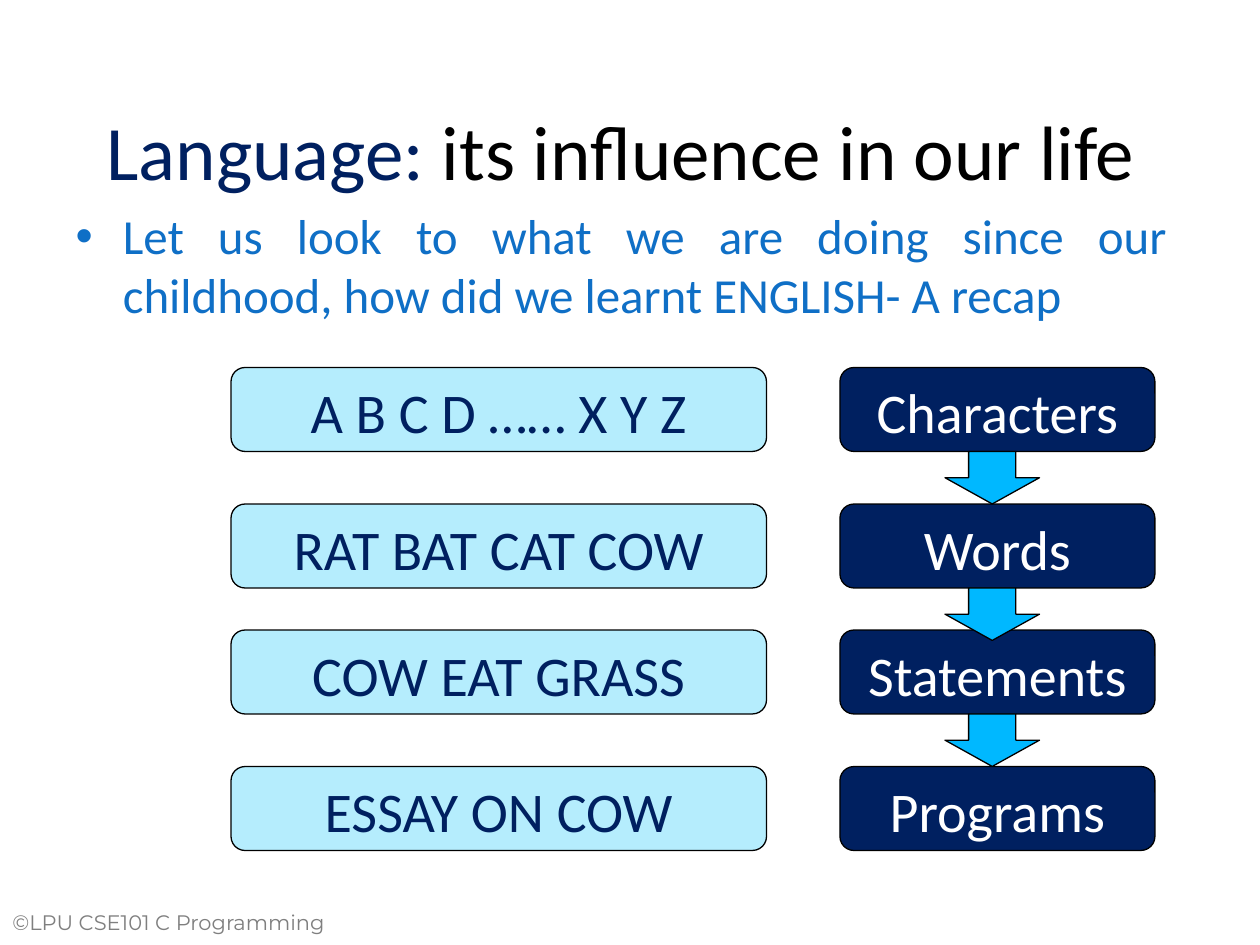
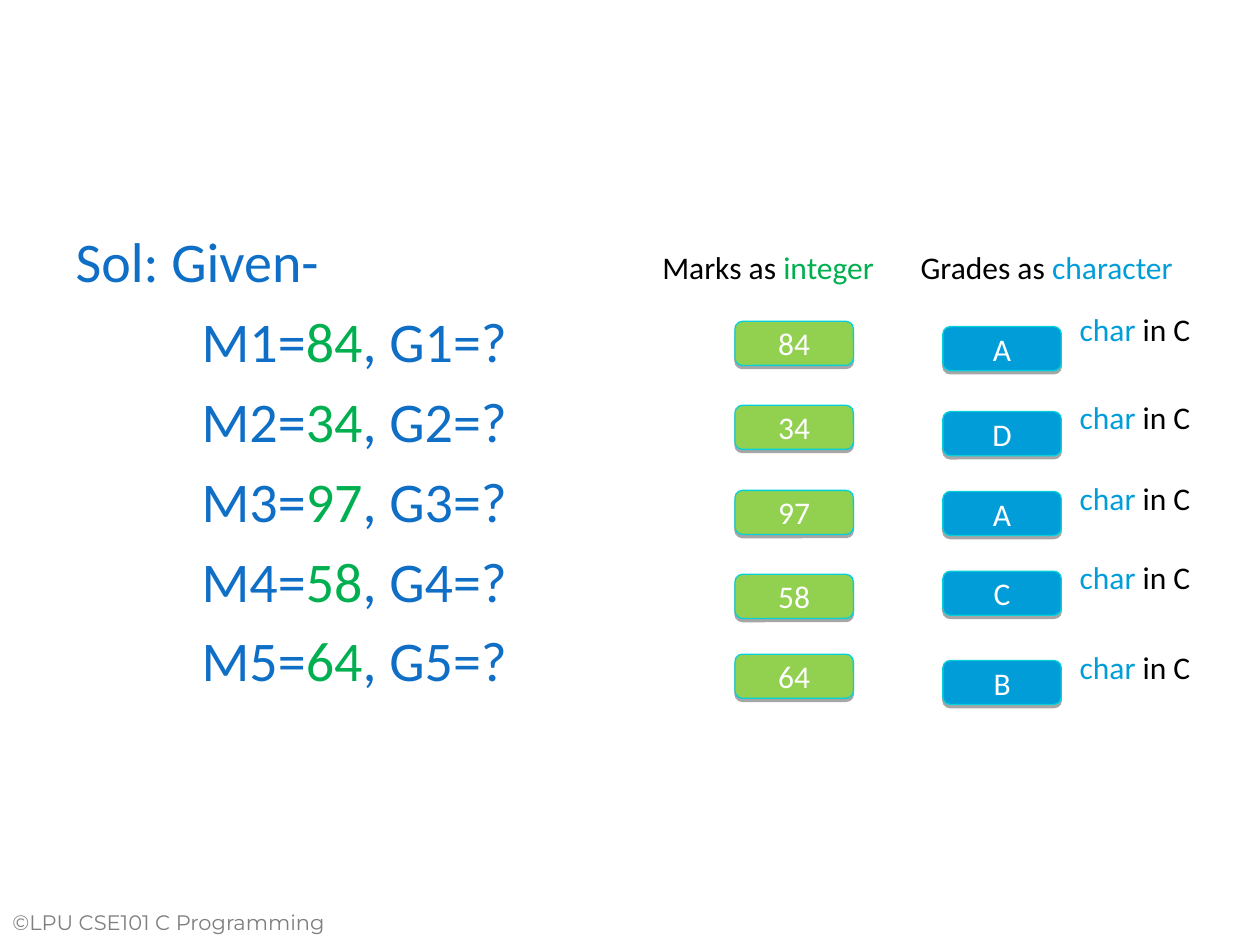
from dataclasses import dataclass
from typing import NamedTuple

from lxml.etree import SubElement
from pptx import Presentation
from pptx.dml.color import RGBColor
from pptx.enum.shapes import MSO_SHAPE as Preset
from pptx.enum.text import MSO_ANCHOR as Anchor, MSO_AUTO_SIZE as AutoSize, PP_ALIGN as Align
from pptx.oxml.ns import qn
from pptx.util import Inches, Pt


@dataclass(frozen=True)
class Theme:
    font: str = "Calibri"
    footer_font: str = "Montserrat"
    navy: str = "002060"
    blue: str = "0F6FC6"
    green: str = "00B050"
    lime: str = "92D050"
    sky: str = "009DD9"
    pale: str = "B5EDFD"
    arrow: str = "00B8FF"
    chip_line: str = "05D0D9"
    black: str = "000000"
    white: str = "FFFFFF"
    gray: str = "7F7F7F"
    title_size: int = 44
    large_size: int = 32
    body_size: int = 28
    label_size: int = 18
    footer_size: int = 12


class Area(NamedTuple):
    """A rectangle in grid cells: left, top, width, height."""
    left: float
    top: float
    width: float
    height: float


class Level(NamedTuple):
    example: str
    name: str
    top: float


class Student(NamedTuple):
    mark: str
    grade: str
    mark_top: float
    grade_top: float
    note_top: float


THEME = Theme()
CELL = Inches(1) / 12
COLUMNS, ROWS = 120, 90

FOOTER = Area(0, 86, 36, 5)
TITLE = Area(6, 7.56, 106.3, 13.44)
INTRO = Area(6, 19, 106.3, 57.8)
SOLUTION = Area(6, 21, 108, 59.4)

EXAMPLE_LEFT, EXAMPLE_WIDTH = 22, 51
NAME_LEFT, NAME_WIDTH = 80, 30
BOX_HEIGHT = 8
ARROW_WIDTH, ARROW_HEIGHT = 9, 5
LEVELS = [
    Level("A B C D …… X Y Z", "Characters", 35),
    Level("RAT BAT CAT COW", "Words", 48),
    Level("COW EAT GRASS", "Statements", 60),
    Level("ESSAY ON COW", "Programs", 73),
]

MARK_LEFT, GRADE_LEFT, NOTE_LEFT = 70, 89.8, 101.64
CHIP_WIDTH, CHIP_HEIGHT = 11.28, 4.2
NOTE_WIDTH, LABEL_HEIGHT = 13, 4.8
STUDENTS = [
    Student("84", "A", 30.6, 31.1, 28.9),
    Student("34", "D", 38.6, 39.2, 37.3),
    Student("97", "A", 46.7, 46.8, 45),
    Student("58", "C", 54.7, 54.4, 52.6),
    Student("64", "B", 62.3, 62.9, 61.1),
]


def color(value: str) -> RGBColor:
    return RGBColor.from_string(value)


def cells(*counts: float) -> list[int]:
    """Turn grid cells into slide lengths."""
    return [round(count * CELL) for count in counts]


def write(paragraph, *runs: tuple[str, str], size: float, font: str = THEME.font,
          align=Align.LEFT, before: float = 0) -> None:
    """Fill a paragraph with (text, colour) runs."""
    paragraph.alignment = align
    paragraph.space_before = Pt(before)
    for text, run_color in runs:
        run = paragraph.add_run()
        run.text = text
        run.font.name = font
        run.font.size = Pt(size)
        run.font.color.rgb = color(run_color)


def place(shape, area: Area):
    """Move a placeholder and return its text frame."""
    shape.left, shape.top, shape.width, shape.height = cells(*area)
    shape.text_frame.auto_size = AutoSize.NONE
    return shape.text_frame


def remove_bullet(paragraph, indent: float = 0) -> None:
    properties = paragraph._p.get_or_add_pPr()
    properties.set("marL", str(Inches(indent)))
    properties.set("indent", "0")
    SubElement(properties, qn("a:buNone"))


def add_shadow(shape) -> None:
    effects = shape.element.spPr.find(qn("a:effectLst"))
    shadow = SubElement(effects, qn("a:outerShdw"), blurRad="0", dist=str(Pt(1.8)),
                        dir="5400000", rotWithShape="0")
    shadow_color = SubElement(shadow, qn("a:srgbClr"), val=THEME.black)
    SubElement(shadow_color, qn("a:alpha"), val="35000")


def add_preset(slide, preset, area: Area, fill: str, line: str = THEME.black):
    shape = slide.shapes.add_shape(preset, *cells(*area))
    shape.shadow.inherit = False
    shape.fill.solid()
    shape.fill.fore_color.rgb = color(fill)
    shape.line.color.rgb = color(line)
    shape.line.width = Pt(0.75)
    return shape


def add_box(slide, area: Area, text: str, fill: str, text_color: str, *,
            line: str = THEME.black, size: float = THEME.large_size, anchor=Anchor.TOP):
    """Draw a rounded box with one centred line of text."""
    box = add_preset(slide, Preset.ROUNDED_RECTANGLE, area, fill, line)
    box.text_frame.vertical_anchor = anchor
    write(box.text_frame.paragraphs[0], (text, text_color), size=size, align=Align.CENTER)
    return box


def add_chip(slide, left: float, top: float, text: str, fill: str) -> None:
    """Draw a small shadowed box holding a mark or a grade."""
    chip = add_box(slide, Area(left, top, CHIP_WIDTH, CHIP_HEIGHT), text, fill, THEME.white,
                   line=THEME.chip_line, size=THEME.label_size, anchor=Anchor.MIDDLE)
    add_shadow(chip)


def add_label(slide, area: Area, *runs: tuple[str, str], wrap: bool = True,
              size: float = THEME.label_size, font: str = THEME.font):
    label = slide.shapes.add_textbox(*cells(*area))
    label.text_frame.word_wrap = wrap
    write(label.text_frame.paragraphs[0], *runs, size=size, font=font)
    return label


def add_master_footer(presentation, slide) -> None:
    """Build the footer on a slide, then move it to the master that all slides share."""
    footer = add_label(slide, FOOTER, ("©LPU CSE101 C Programming", THEME.gray),
                       size=THEME.footer_size, font=THEME.footer_font)
    presentation.slide_master.shapes.element.append(footer.element)


def build_language_slide(slide) -> None:
    title = place(slide.shapes.title, TITLE)
    title.vertical_anchor = Anchor.MIDDLE
    write(title.paragraphs[0], ("Language: ", THEME.navy),
          ("its influence in our life", THEME.black),
          size=THEME.title_size, align=Align.CENTER)

    intro = place(slide.placeholders[1], INTRO).paragraphs[0]
    bullet_color = SubElement(intro._p.get_or_add_pPr(), qn("a:buClr"))
    SubElement(bullet_color, qn("a:srgbClr"), val=THEME.blue)
    write(intro, ("Let us look to what we are doing since our childhood, "
                  "how did we learnt ENGLISH- A recap", THEME.blue),
          size=THEME.body_size, align=Align.JUSTIFY)

    for level in LEVELS:
        add_box(slide, Area(EXAMPLE_LEFT, level.top, EXAMPLE_WIDTH, BOX_HEIGHT),
                level.example, THEME.pale, THEME.navy)
        add_box(slide, Area(NAME_LEFT, level.top, NAME_WIDTH, BOX_HEIGHT),
                level.name, THEME.navy, THEME.white)
    arrow_left = NAME_LEFT + NAME_WIDTH / 2 - ARROW_WIDTH / 2 - 0.5
    for level in LEVELS[:-1]:
        add_preset(slide, Preset.DOWN_ARROW,
                   Area(arrow_left, level.top + BOX_HEIGHT, ARROW_WIDTH, ARROW_HEIGHT),
                   THEME.arrow)


def build_grades_slide(slide) -> None:
    title = slide.shapes.title.element
    title.getparent().remove(title)

    solution = place(slide.placeholders[1], SOLUTION)
    heading = solution.paragraphs[0]
    remove_bullet(heading)
    write(heading, ("Sol: Given-", THEME.blue), size=THEME.large_size)

    for number, student in enumerate(STUDENTS, start=1):
        given = solution.add_paragraph()
        remove_bullet(given, indent=1)
        write(given, (f"M{number}=", THEME.blue), (student.mark, THEME.green),
              (f", G{number}=?", THEME.blue), size=THEME.large_size, before=7.2)
        add_chip(slide, MARK_LEFT, student.mark_top, student.mark, THEME.lime)
        add_chip(slide, GRADE_LEFT, student.grade_top, student.grade, THEME.sky)
        add_label(slide, Area(NOTE_LEFT, student.note_top, NOTE_WIDTH, LABEL_HEIGHT),
                  ("char", THEME.sky), (" in C", THEME.black), wrap=False)

    add_label(slide, Area(61.9, 23, 22.8, LABEL_HEIGHT),
              ("Marks as ", THEME.black), ("integer", THEME.green))
    add_label(slide, Area(86.5, 23, 28.3, LABEL_HEIGHT),
              ("Grades as ", THEME.black), ("character", THEME.sky))


def main() -> None:
    presentation = Presentation()
    presentation.slide_width, presentation.slide_height = cells(COLUMNS, ROWS)
    layout = presentation.slide_layouts[1]
    language_slide = presentation.slides.add_slide(layout)
    add_master_footer(presentation, language_slide)
    build_language_slide(language_slide)
    build_grades_slide(presentation.slides.add_slide(layout))
    presentation.save("out.pptx")


if __name__ == "__main__":
    main()
